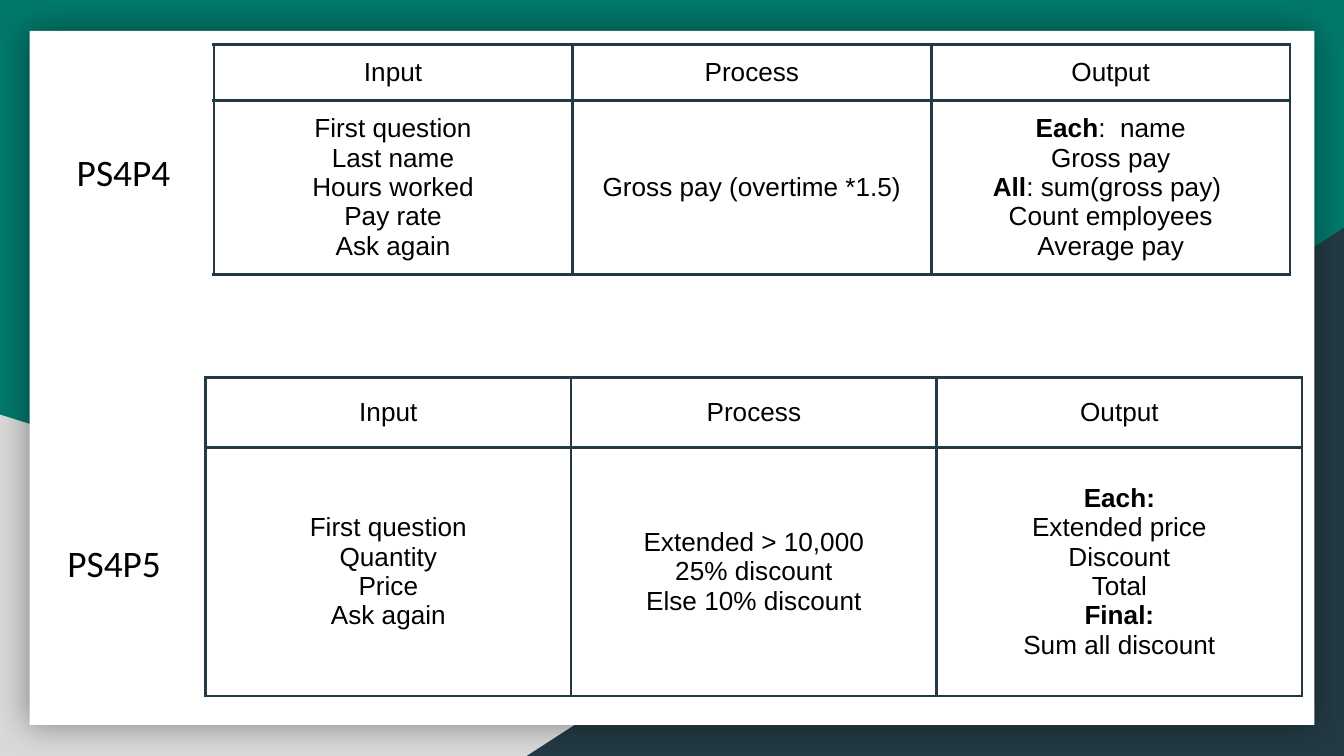
import pptx
import pptx.dml.color
import pptx.enum.shapes
import pptx.enum.text
import pptx.oxml
import pptx.oxml.ns
import pptx.util
from lxml import etree

SLIDE_WIDTH = 10
SLIDE_HEIGHT = SLIDE_WIDTH * 9 / 16
CARD_MARGIN_X, CARD_MARGIN_Y = 0.22, 0.23
LABEL_WIDTH, LABEL_HEIGHT = 1.84, 0.75
CELL_MARGIN = 0.1

GREEN, GREY, NAVY, WHITE, BLACK = "00796B", "D9D9D9", "233A44", "FFFFFF", "000000"

HEADERS = ["Input", "Process", "Output"]

# A line is plain text, or a pair of bold text and the plain text after it.
PROBLEMS = [
    {
        "label": "PS4P4", "label_at": (0, 0.9),
        "table_at": (1.59, 0.33), "column_width": 2.67, "row_heights": (0.39, 1.24),
        "body": [
            ["First question", "Last name", "Hours worked", "Pay rate", "Ask again"],
            ["Gross pay (overtime *1.5)"],
            [("Each", ":  name"), "Gross pay", ("All", ": sum(gross pay) "),
             "Count employees", "Average pay"],
        ],
    },
    {
        "label": "PS4P5", "label_at": (-0.07, 3.81),
        "table_at": (1.53, 2.81), "column_width": 2.72, "row_heights": (0.52, 1.85),
        "body": [
            ["First question", "Quantity", "Price", "Ask again"],
            ["Extended > 10,000", "25% discount", "Else 10% discount"],
            [("Each:", ""), "Extended price", "Discount", "Total",
             ("Final:", ""), "Sum all discount"],
        ],
    },
]


def inches(*lengths):
    return [pptx.util.Inches(length) for length in lengths]


def color(hex_string):
    return pptx.dml.color.RGBColor.from_string(hex_string)


def add_panel(slide, kind, left, top, width, height, fill):
    shape = slide.shapes.add_shape(kind, *inches(left, top, width, height))
    shape.shadow.inherit = False
    shape.fill.solid()
    shape.fill.fore_color.rgb = color(fill)
    shape.line.fill.background()
    return shape


def add_soft_shadow(shape):
    effects = shape._element.spPr.find(pptx.oxml.ns.qn("a:effectLst"))
    effects.append(pptx.oxml.parse_xml(
        f'<a:outerShdw {pptx.oxml.ns.nsdecls("a")} blurRad="{pptx.util.Pt(18)}" dist="0" '
        f'algn="ctr" rotWithShape="0"><a:srgbClr val="{BLACK}"><a:alpha val="40000"/>'
        '</a:srgbClr></a:outerShdw>'))


def add_background(slide):
    slide.background.fill.solid()
    slide.background.fill.fore_color.rgb = color(GREEN)
    kinds = pptx.enum.shapes.MSO_SHAPE
    add_panel(slide, kinds.RIGHT_TRIANGLE, 0, SLIDE_HEIGHT - 2.54, 8.06, 2.54, GREY)
    corner = add_panel(slide, kinds.RIGHT_TRIANGLE, SLIDE_WIDTH - 6.08,
                       SLIDE_HEIGHT - 3.93, 6.08, 3.93, NAVY)
    corner._element.spPr.find(pptx.oxml.ns.qn("a:xfrm")).set("flipH", "1")
    card = add_panel(slide, kinds.RECTANGLE, CARD_MARGIN_X, CARD_MARGIN_Y,
                     SLIDE_WIDTH - 2 * CARD_MARGIN_X, SLIDE_HEIGHT - 2 * CARD_MARGIN_Y, WHITE)
    add_soft_shadow(card)


def format_paragraph(paragraph, font_name, size):
    paragraph.alignment = pptx.enum.text.PP_ALIGN.CENTER
    for run in paragraph.runs:
        run.font.name = font_name
        run.font.size = pptx.util.Pt(size)
        run.font.color.rgb = color(BLACK)


def set_margins(box):
    """Give a cell or a text frame equal margins and centre its text vertically."""
    box.margin_left = box.margin_right = pptx.util.Inches(CELL_MARGIN)
    box.margin_top = box.margin_bottom = pptx.util.Inches(CELL_MARGIN)
    box.vertical_anchor = pptx.enum.text.MSO_ANCHOR.MIDDLE


def add_label(slide, text, left, top):
    label = slide.shapes.add_textbox(*inches(left, top, LABEL_WIDTH, LABEL_HEIGHT))
    label.text_frame.word_wrap = True
    set_margins(label.text_frame)
    label.text_frame.text = text
    format_paragraph(label.text_frame.paragraphs[0], "Calibri", 20)


def set_borders(cell):
    properties = cell._tc.get_or_add_tcPr()
    for side in ("lnL", "lnR", "lnT", "lnB"):
        line = etree.SubElement(properties, pptx.oxml.ns.qn(f"a:{side}"),
                                w=str(pptx.util.Pt(1.5)))
        fill = etree.SubElement(line, pptx.oxml.ns.qn("a:solidFill"))
        etree.SubElement(fill, pptx.oxml.ns.qn("a:srgbClr"), val=NAVY)


def fill_cell(cell, lines):
    set_borders(cell)
    cell.fill.background()
    set_margins(cell)
    texts = [line if isinstance(line, str) else "".join(line) for line in lines]
    cell.text_frame.text = "\n".join(texts)
    for paragraph, line in zip(cell.text_frame.paragraphs, lines):
        if isinstance(line, tuple):
            bold_text, plain_text = line
            paragraph.runs[0].text = bold_text
            paragraph.runs[0].font.bold = True
            if plain_text:
                paragraph.add_run().text = plain_text
                paragraph.runs[1].font.bold = False
        format_paragraph(paragraph, "Arial", 14)


def add_problem_table(slide, problem):
    row_heights, column_width = problem["row_heights"], problem["column_width"]
    rows = [[[header] for header in HEADERS], problem["body"]]
    table = slide.shapes.add_table(
        len(rows), len(HEADERS),
        *inches(*problem["table_at"], column_width * len(HEADERS), sum(row_heights))).table
    table.first_row = table.horz_banding = False
    for column in table.columns:
        column.width = pptx.util.Inches(column_width)
    for row, height, contents in zip(table.rows, row_heights, rows):
        row.height = pptx.util.Inches(height)
        for cell, lines in zip(row.cells, contents):
            fill_cell(cell, lines)


def main():
    presentation = pptx.Presentation()
    presentation.slide_width, presentation.slide_height = inches(SLIDE_WIDTH, SLIDE_HEIGHT)
    slide = presentation.slides.add_slide(presentation.slide_layouts.get_by_name("Blank"))
    add_background(slide)
    for problem in PROBLEMS:
        add_problem_table(slide, problem)
        add_label(slide, problem["label"], *problem["label_at"])
    presentation.save("out.pptx")


if __name__ == "__main__":
    main()
